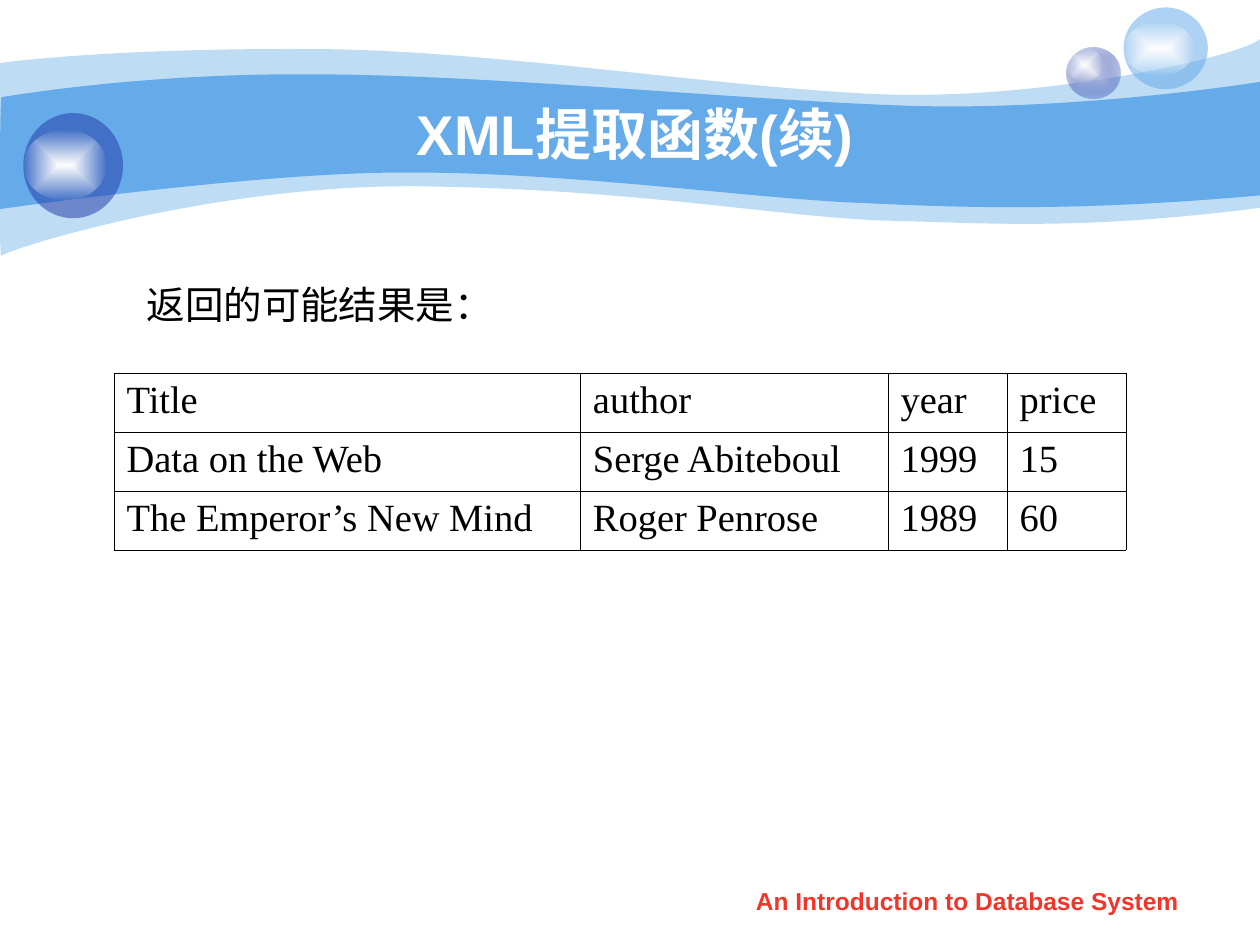
from dataclasses import dataclass

from lxml.etree import SubElement
from pptx import Presentation
from pptx.dml.color import RGBColor
from pptx.enum.shapes import MSO_SHAPE
from pptx.enum.text import MSO_ANCHOR, PP_ALIGN
from pptx.oxml import parse_xml
from pptx.oxml.ns import nsdecls, qn
from pptx.slide import Slide
from pptx.util import Cm, Pt

WHITE = RGBColor(0xFF, 0xFF, 0xFF)
PEARL = RGBColor(0xFE, 0xFE, 0xFE)
BLACK = RGBColor(0x00, 0x00, 0x00)
SKY = RGBColor(0x65, 0xAA, 0xE9)
NAVY = RGBColor(0x23, 0x3D, 0xA9)
LILAC = RGBColor(0xC6, 0xCC, 0xE8)
RED = RGBColor(0xF0, 0x36, 0x28)

SANS, SERIF = "Arial", "Times New Roman"


@dataclass
class Paint:
    color: RGBColor
    opacity: int = 100
    center: RGBColor | None = None


@dataclass
class Wave:
    start: tuple
    segments: list
    paint: Paint


@dataclass
class Disc:
    left: float
    top: float
    width: float
    height: float
    paint: Paint


@dataclass
class Label:
    text: str
    left: float
    top: float
    width: float
    height: float
    font: str
    size: int
    color: RGBColor
    bold: bool = False
    align: PP_ALIGN = PP_ALIGN.LEFT
    anchor: MSO_ANCHOR = MSO_ANCHOR.MIDDLE
    wrap: bool = True


GLOW = Paint(PEARL, 0, WHITE)

WAVES = [
    Wave((0, 1.27), [
        [(0.61, 1.19), (2.72, 0.97), (6.27, 0.99)],
        [(9.8, 0.99), (14.6, 1.78), (17.75, 1.9)],
        [(20.88, 2.03), (24.89, 1.19), (25.4, 0.79)],
        [(25.4, 4.19)],
        [(21.79, 4.65), (19.99, 4.5), (17.91, 4.45)],
        [(15.8, 4.39), (13.08, 3.84), (8.71, 3.76)],
        [(4.37, 3.66), (0.1, 5.05), (0.03, 5.16)],
        [(-0.03, 5.28), (0, 1.9), (0, 1.27)],
    ], Paint(SKY, 41)),
    Wave((0.03, 1.96), [
        [(0.05, 1.96), (2.79, 1.47), (6.3, 1.5)],
        [(9.8, 1.5), (15.11, 2.03), (18.24, 2.13)],
        [(21.36, 2.24), (24.79, 1.75), (25.4, 1.65)],
        [(25.4, 3.94)],
        [(21.67, 4.27), (19.43, 4.19), (17.32, 4.09)],
        [(15.21, 4.01), (11.35, 3.45), (8.05, 3.48)],
        [(5.16, 3.48), (-0.05, 4.22), (-0.03, 4.22)],
        [(0, 4.22), (0, 1.96), (0.03, 1.96)],
    ], Paint(SKY)),
]

BUBBLES = [
    [Disc(21.51, 0.95, 1.08, 1.03, Paint(NAVY, 31, LILAC)), Disc(21.51, 0.95, 0.72, 0.69, GLOW)],
    [Disc(22.65, 0.15, 1.7, 1.65, Paint(SKY, 53)), Disc(22.65, 0.43, 1.42, 1.09, GLOW)],
    [Disc(0.47, 2.28, 2.01, 2.12, Paint(NAVY, 53)), Disc(0.47, 2.62, 1.68, 1.42, GLOW)],
]

LABELS = [
    Label("XML提取函数(续)", 2.54, 1.9, 20.52, 1.57, SANS, 32, WHITE, True, PP_ALIGN.CENTER),
    Label("返回的可能结果是：", 2.71, 5.54, 7.47, 1.19, SERIF, 22, BLACK, wrap=False),
    Label("An Introduction to Database System", 14.5, 17.73, 10.01, 0.89, SANS, 14, RED, True,
          PP_ALIGN.CENTER, MSO_ANCHOR.TOP),
]

COLUMN_WIDTHS = [9.4, 6.2, 2.4, 2.4]
ROW_HEIGHT = 1.19
BOOKS = [
    ["Title", "author", "year", "price"],
    ["Data on the Web", "Serge Abiteboul", "1999", "15"],
    ["The Emperor’s New Mind", "Roger Penrose", "1989", "60"],
]


def apply_paint(shape, paint: Paint) -> None:
    shape.shadow.inherit = False
    shape.line.fill.background()
    shape.fill.solid()
    shape.fill.fore_color.rgb = paint.color
    solid = shape._element.spPr.find(qn("a:solidFill"))
    if paint.opacity < 100:
        SubElement(solid[0], qn("a:alpha"), val=str(paint.opacity * 1000))
    if paint.center is not None:
        gradient = parse_xml(
            f'<a:gradFill {nsdecls("a")} rotWithShape="1"><a:gsLst>'
            f'<a:gs pos="0"><a:srgbClr val="{paint.center}"/></a:gs><a:gs pos="100000"/></a:gsLst>'
            '<a:path path="rect"><a:fillToRect l="50000" t="50000" r="50000" b="50000"/></a:path>'
            '</a:gradFill>')
        gradient[0][1].append(solid[0])
        solid.getparent().replace(solid, gradient)


def bend_lines(shape, segments: list) -> None:
    lines = iter(list(shape._element.iter(qn("a:lnTo"))))
    for segment in segments:
        first, *others = [next(lines) for _ in segment]
        if others:
            curve = parse_xml(f'<a:cubicBezTo {nsdecls("a")}/>')
            first.addprevious(curve)
            for line in (first, *others):
                curve.append(line[0])
                line.getparent().remove(line)


def draw_wave(page: Slide, wave: Wave) -> None:
    builder = page.shapes.build_freeform(*map(Cm, wave.start))
    corners = [(Cm(x), Cm(y)) for segment in wave.segments for x, y in segment]
    builder.add_line_segments(corners, close=True)
    shape = builder.convert_to_shape()
    bend_lines(shape, wave.segments)
    apply_paint(shape, wave.paint)


def draw_bubble(page: Slide, discs: list[Disc]) -> None:
    group = page.shapes.add_group_shape()
    for disc in discs:
        oval = group.shapes.add_shape(MSO_SHAPE.OVAL, Cm(disc.left), Cm(disc.top),
                                      Cm(disc.width), Cm(disc.height))
        apply_paint(oval, disc.paint)


def format_span(span, font: str, size: int, color: RGBColor, bold: bool = False) -> None:
    span.font.name = font
    span.font.size = Pt(size)
    span.font.bold = bold
    span.font.color.rgb = color


def draw_label(page: Slide, label: Label) -> None:
    box = page.shapes.add_textbox(Cm(label.left), Cm(label.top), Cm(label.width), Cm(label.height))
    frame = box.text_frame
    frame.text = label.text
    frame.word_wrap = label.wrap
    frame.vertical_anchor = label.anchor
    para = frame.paragraphs[0]
    para.alignment = label.align
    format_span(para.runs[0], label.font, label.size, label.color, label.bold)


def border_cell(cell) -> None:
    properties = cell._tc.get_or_add_tcPr()
    for position, side in enumerate(("lnL", "lnR", "lnT", "lnB")):
        properties.insert(position, parse_xml(
            f'<a:{side} {nsdecls("a")} w="{Pt(0.45)}"><a:solidFill>'
            f'<a:srgbClr val="{BLACK}"/></a:solidFill></a:{side}>'))


def draw_books(page: Slide) -> None:
    table = page.shapes.add_table(len(BOOKS), len(COLUMN_WIDTHS), Cm(2.3), Cm(7.52),
                                  Cm(sum(COLUMN_WIDTHS)), Cm(ROW_HEIGHT * len(BOOKS))).table
    table.first_row = table.horz_banding = False
    for column, width in zip(table.columns, COLUMN_WIDTHS):
        column.width = Cm(width)
    for row, values in zip(table.rows, BOOKS):
        row.height = Cm(ROW_HEIGHT)
        for cell, value in zip(row.cells, values):
            cell.text_frame.text = value
            cell.fill.background()
            border_cell(cell)
            format_span(cell.text_frame.paragraphs[0].runs[0], SERIF, 22, BLACK)


def main() -> None:
    """Build the slide listing the rows returned by an XML extraction query."""
    deck = Presentation()
    deck.slide_width, deck.slide_height = Cm(25.4), Cm(19.05)
    page = deck.slides.add_slide(deck.slide_layouts[6])
    for wave in WAVES:
        draw_wave(page, wave)
    for discs in BUBBLES:
        draw_bubble(page, discs)
    for label in LABELS:
        draw_label(page, label)
    draw_books(page)
    deck.save("out.pptx")


if __name__ == "__main__":
    main()
